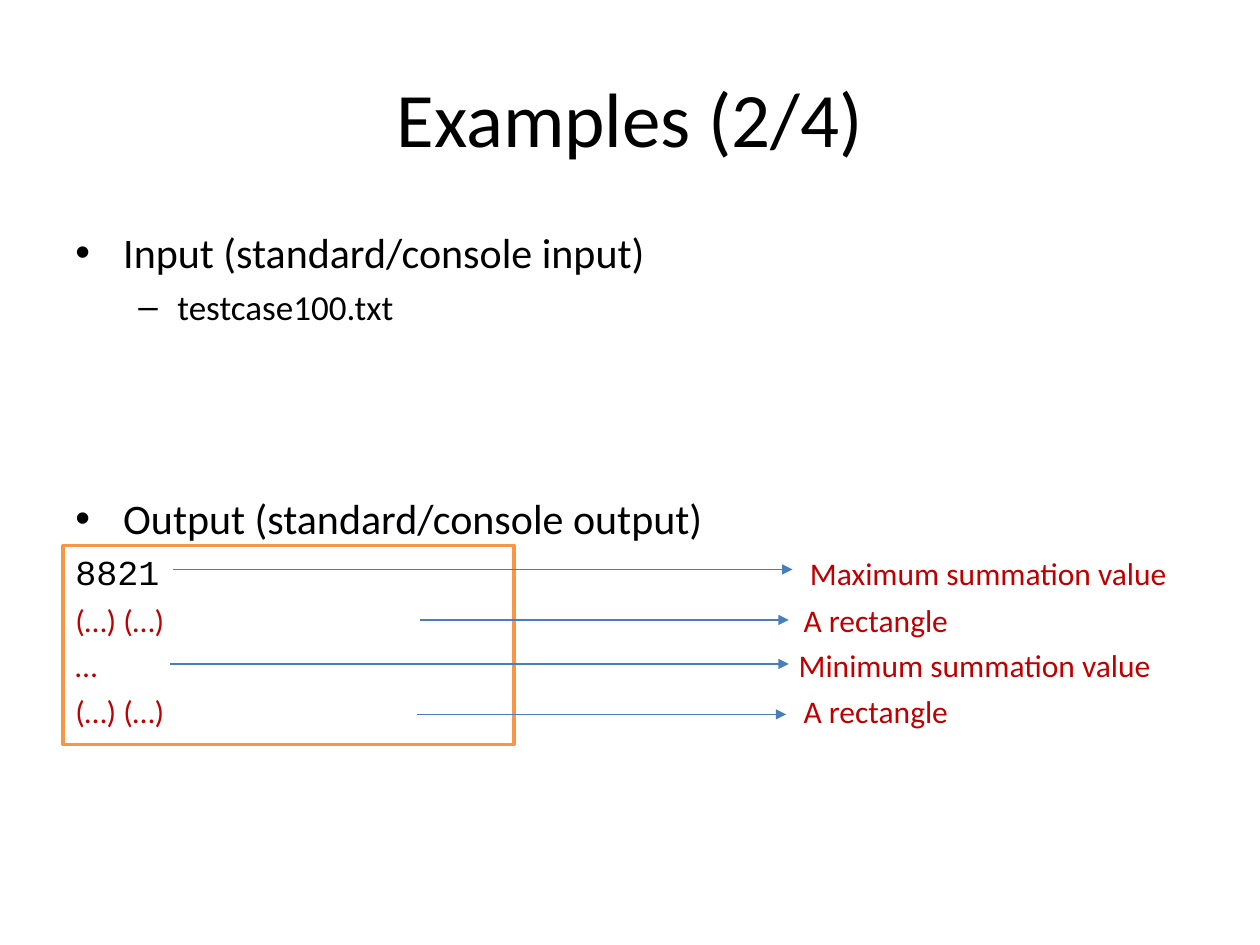
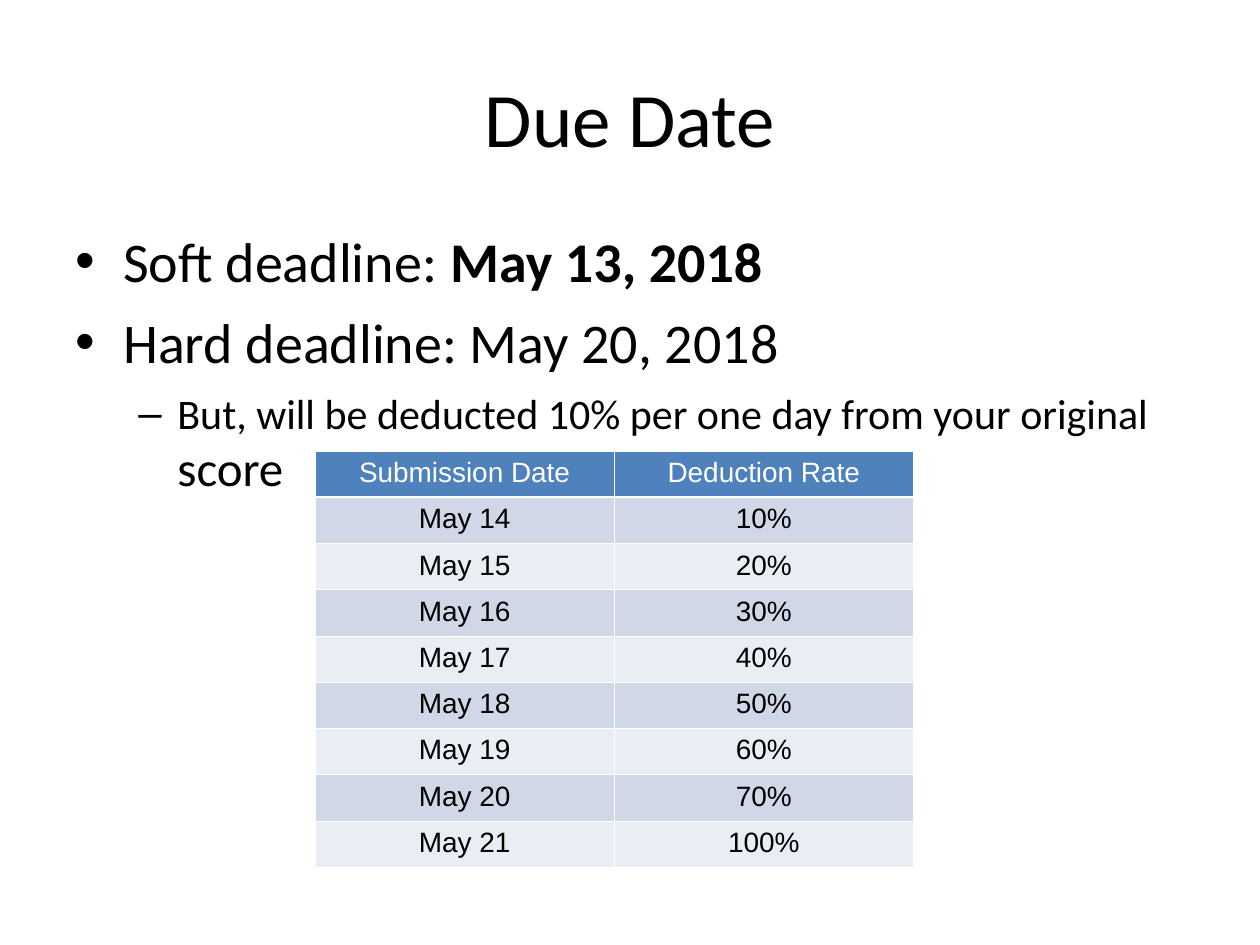
from lxml.etree import SubElement as Sub
from pptx import Presentation
from pptx.dml.color import RGBColor as Rgb
from pptx.enum.shapes import MSO_CONNECTOR as Link, MSO_SHAPE as Shape
from pptx.enum.text import MSO_ANCHOR as Anchor, PP_ALIGN as Align
from pptx.oxml.ns import qn
from pptx.util import Pt

PX = 9144  # 100 px to the inch
INK = {
    "text": "000000", "note": "C00000", "frame": "F79646", "arrow": "4A7EBB",
    "head": "4F81BD", "odd": "D0D8E8", "even": "E9EDF4", "white": "FFFFFF",
}
SANS, MONO, CELL = "Calibri", "Courier New", "Arial"
BULLETS = [("•", 38, -38), ("–", 81, -31)]
BODY = (50, 175, 900, 495)


def px(*nums):
    return [round(n * PX) for n in nums]


def rgb(key):
    return Rgb.from_string(INK[key])


def style(run, size, face=SANS, ink="text", bold=False):
    font = run.font
    font.size, font.name, font.bold = Pt(size), face, bold
    font.color.rgb = rgb(ink)


def add_runs(para, runs):
    """Fill a paragraph from (text, style...) tuples."""
    for text, *look in runs:
        run = para.add_run()
        run.text = text
        style(run, *look)


def add_box(slide, area):
    frame = slide.shapes.add_textbox(*px(*area)).text_frame
    frame.word_wrap = True
    return frame


def add_title(slide, text):
    frame = add_box(slide, (50, 30, 900, 125))
    frame.vertical_anchor = Anchor.MIDDLE
    para = frame.paragraphs[0]
    para.text = text
    para.alignment = Align.CENTER
    style(para.runs[0], 44)


def add_para(frame, gap):
    """Next paragraph of a frame; the first one gets no space before."""
    para = frame.paragraphs[0]
    if para.runs:
        para = frame.add_paragraph()
        para.space_before = Pt(gap)
    return para


def add_point(frame, level, gap, *runs):
    para = add_para(frame, gap)
    mark, left, hang = BULLETS[level]
    para.level = level
    props = para._p.get_or_add_pPr()
    props.set("marL", str(left * PX))
    props.set("indent", str(hang * PX))
    Sub(props, qn("a:buFont"), typeface="Arial")
    Sub(props, qn("a:buChar"), char=mark)
    add_runs(para, runs)


def add_row(frame, stop, *runs):
    """Plain line with its label at a tab stop."""
    para = add_para(frame, 4.5)
    tabs = Sub(para._p.get_or_add_pPr(), qn("a:tabLst"))
    Sub(tabs, qn("a:tab"), pos=str(stop * PX), algn="l")
    add_runs(para, runs)


def add_frame(slide, area):
    rect = slide.shapes.add_shape(Shape.RECTANGLE, *px(*area))
    rect.shadow.inherit = False
    rect.fill.background()
    rect.line.color.rgb = rgb("frame")
    rect.line.width = Pt(2)


def add_arrow(slide, left, right, y):
    line = slide.shapes.add_connector(Link.STRAIGHT, *px(left, y, right, y))
    line.line.color.rgb = rgb("arrow")
    line.line.width = Pt(0.75)
    props = line._element.spPr
    Sub(props.find(qn("a:ln")), qn("a:tailEnd"), type="triangle")
    Sub(props, qn("a:effectLst"))


def add_edges(cell, row):
    props = cell._tc.get_or_add_tcPr()
    thick = {"lnB": row == 0, "lnT": row == 1}
    for side in ("lnL", "lnR", "lnT", "lnB"):
        width = Pt(1.47 if thick.get(side) else 0.45)
        edge = Sub(props, qn("a:" + side), w=str(width))
        fill = Sub(edge, qn("a:solidFill"))
        Sub(fill, qn("a:srgbClr"), val=INK["white"])


def add_grid(slide, area, data):
    shape = slide.shapes.add_table(len(data), len(data[0]), *px(*area))
    table = shape.table
    for r, texts in enumerate(data):
        back = "head" if r == 0 else "odd" if r % 2 else "even"
        for c, text in enumerate(texts):
            cell = table.cell(r, c)
            add_edges(cell, r)
            cell.fill.solid()
            cell.fill.fore_color.rgb = rgb(back)
            para = cell.text_frame.paragraphs[0]
            para.text = text
            para.alignment = Align.CENTER
            style(para.runs[0], 16, CELL, "text" if r else "white")


def draw_examples(slide):
    add_title(slide, "Examples (2/4)")
    body = add_box(slide, BODY)
    add_point(body, 0, 6, ("Input (standard/console input)", 24))
    add_point(body, 1, 5, ("testcase100.txt", 20))
    add_point(body, 0, 94, ("Output (standard/console output)", 24))
    note = (18, SANS, "note")
    add_row(body, 583, ("8821", 20, MONO), ("\tMaximum summation value", *note))
    for stop, text in [
        (578, "(…) (…)\tA rectangle"),
        (574, "…\tMinimum summation value"),
        (578, "(…) (…)\tA rectangle"),
    ]:
        add_row(body, stop, (text, *note))
    add_frame(slide, (50, 433, 358, 158))
    for ends in [(137, 629, 452), (333, 626, 492),
                 (135, 626, 527), (331, 624, 567)]:
        add_arrow(slide, *ends)


def draw_due(slide):
    add_title(slide, "Due Date")
    body = add_box(slide, BODY)
    add_point(body, 0, 8, ("Soft deadline: ", 32),
              ("May 13, 2018", 32, SANS, "text", True))
    add_point(body, 0, 8, ("Hard deadline: May 20, 2018", 32))
    add_point(body, 1, 7,
              ("But, will be deducted 10% per one day from your original ", 24),
              ("score", 28))
    rates = [*range(10, 80, 10), 100]
    rows = [(f"May {day}", f"{rate}%") for day, rate in enumerate(rates, 14)]
    add_grid(slide, (250, 358, 475, 330),
             [("Submission Date", "Deduction Rate"), *rows])


def main():
    deck = Presentation()
    deck.slide_width, deck.slide_height = px(1000, 750)
    for draw in (draw_examples, draw_due):
        draw(deck.slides.add_slide(deck.slide_layouts[6]))
    deck.save("out.pptx")


if __name__ == "__main__":
    main()
